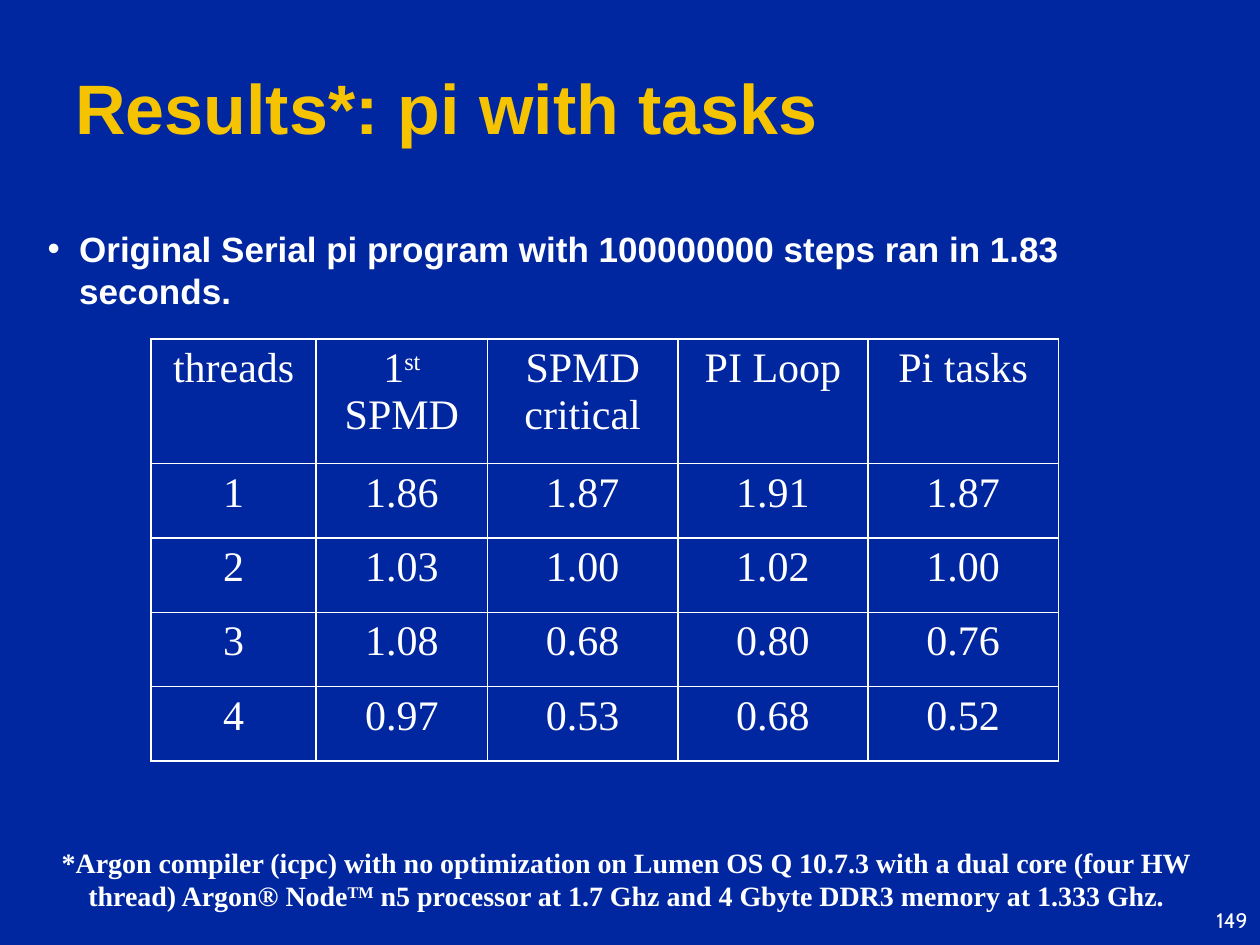
import dataclasses

import lxml.etree
import pptx
import pptx.dml.color
import pptx.enum.text
import pptx.oxml.ns
import pptx.util

Inches = pptx.util.Inches
Align = pptx.enum.text.PP_ALIGN
Anchor = pptx.enum.text.MSO_ANCHOR


@dataclasses.dataclass(frozen=True)
class Theme:
    background: str = "00279F"
    accent: str = "F5C300"
    text: str = "FFFFFF"
    sans: str = "Arial"
    serif: str = "Times New Roman"
    number_font: str = "Cabin"
    title_size: int = 40
    table_size: int = 24
    body_size: int = 20
    note_size: int = 16
    number_size: int = 12
    border_width: int = 1


def rgb(value):
    return pptx.dml.color.RGBColor.from_string(value)


def add_element(parent, tag, **attributes):
    element = lxml.etree.SubElement(parent, pptx.oxml.ns.qn(tag))
    for name, value in attributes.items():
        element.set(name, str(value))
    return element


class SlideBuilder:
    def __init__(self, slide, theme):
        self.slide = slide
        self.theme = theme
        fill = slide.background.fill
        fill.solid()
        fill.fore_color.rgb = rgb(theme.background)

    def add_runs(self, paragraph, text, size, font, color=None, bold=False, align=Align.LEFT):
        paragraph.alignment = align
        for index, part in enumerate(text.split("^")):
            run = paragraph.add_run()
            run.text = part
            run.font.size = pptx.util.Pt(size)
            run.font.name = font
            run.font.bold = bold
            run.font.color.rgb = rgb(color or self.theme.text)
            if index % 2:
                run._r.get_or_add_rPr().set("baseline", "30000")

    def text_box(self, box, text, size, font, anchor=Anchor.TOP, **style):
        shape = self.slide.shapes.add_textbox(*map(Inches, box))
        frame = shape.text_frame
        frame.word_wrap = True
        frame.vertical_anchor = anchor
        paragraph = frame.paragraphs[0]
        self.add_runs(paragraph, text, size, font, **style)
        return paragraph

    def title(self, box, text):
        paragraph = self.text_box(box, text, self.theme.title_size, self.theme.sans,
                                  Anchor.MIDDLE, color=self.theme.accent, bold=True)
        paragraph.line_spacing = 0.87

    def bullet(self, box, text):
        paragraph = self.text_box(box, text, self.theme.body_size, self.theme.sans, bold=True)
        properties = paragraph._p.get_or_add_pPr()
        indent = Inches(0.25)
        properties.set("marL", str(indent))
        properties.set("indent", str(-indent))
        add_element(properties, "a:buFont", typeface=self.theme.sans)
        add_element(properties, "a:buChar", char="•")

    def footnote(self, box, text):
        self.text_box(box, text, self.theme.note_size, self.theme.serif,
                      bold=True, align=Align.CENTER)

    def page_number(self, box, text):
        self.text_box(box, text, self.theme.number_size, self.theme.number_font,
                      align=Align.RIGHT)

    def border(self, cell):
        properties = cell._tc.get_or_add_tcPr()
        for side in ("a:lnL", "a:lnR", "a:lnT", "a:lnB"):
            line = add_element(properties, side, w=pptx.util.Pt(self.theme.border_width))
            fill = add_element(line, "a:solidFill")
            add_element(fill, "a:srgbClr", val=self.theme.text)

    def table(self, left, top, widths, heights, rows):
        frame = self.slide.shapes.add_table(
            len(rows), len(widths), Inches(left), Inches(top),
            Inches(sum(widths)), Inches(sum(heights)))
        table = frame.table
        table.first_row = False
        table.horz_banding = False
        for column, width in zip(table.columns, widths):
            column.width = Inches(width)
        for row, height, texts in zip(table.rows, heights, rows):
            row.height = Inches(height)
            for cell, text in zip(row.cells, texts):
                self.border(cell)
                cell.fill.background()
                self.add_runs(cell.text_frame.paragraphs[0], text, self.theme.table_size,
                              self.theme.serif, align=Align.CENTER)


def main():
    presentation = pptx.Presentation()
    presentation.slide_width = Inches(10)
    presentation.slide_height = Inches(7.5)
    slide = presentation.slides.add_slide(presentation.slide_layouts[6])
    builder = SlideBuilder(slide, Theme())

    builder.title((0.5, 0.27, 9.29, 1.25), "Results*: pi with tasks")
    builder.page_number((9.45, 7.15, 0.55, 0.35), "149")
    builder.footnote(
        (0.36, 6.66, 9.22, 0.64),
        "*Argon compiler (icpc) with no optimization on Lumen OS Q 10.7.3 with a dual core "
        "(four HW thread) Argon® Node^TM^ n5 processor at 1.7 Ghz and 4 Gbyte DDR3 memory "
        "at 1.333 Ghz.")
    builder.bullet(
        (0.28, 1.76, 9.08, 1.11),
        "Original Serial pi program with 100000000 steps ran in 1.83 seconds.")
    timings = [
        ("threads", "1^st^ SPMD", "SPMD critical", "PI Loop", "Pi tasks"),
        ("1", "1.86", "1.87", "1.91", "1.87"),
        ("2", "1.03", "1.00", "1.02", "1.00"),
        ("3", "1.08", "0.68", "0.80", "0.76"),
        ("4", "0.97", "0.53", "0.68", "0.52"),
    ]
    builder.table(1.2, 2.69, [1.31, 1.36] + [1.51] * 3, [0.99] + [0.59] * 4, timings)

    presentation.save("out.pptx")


if __name__ == "__main__":
    main()
